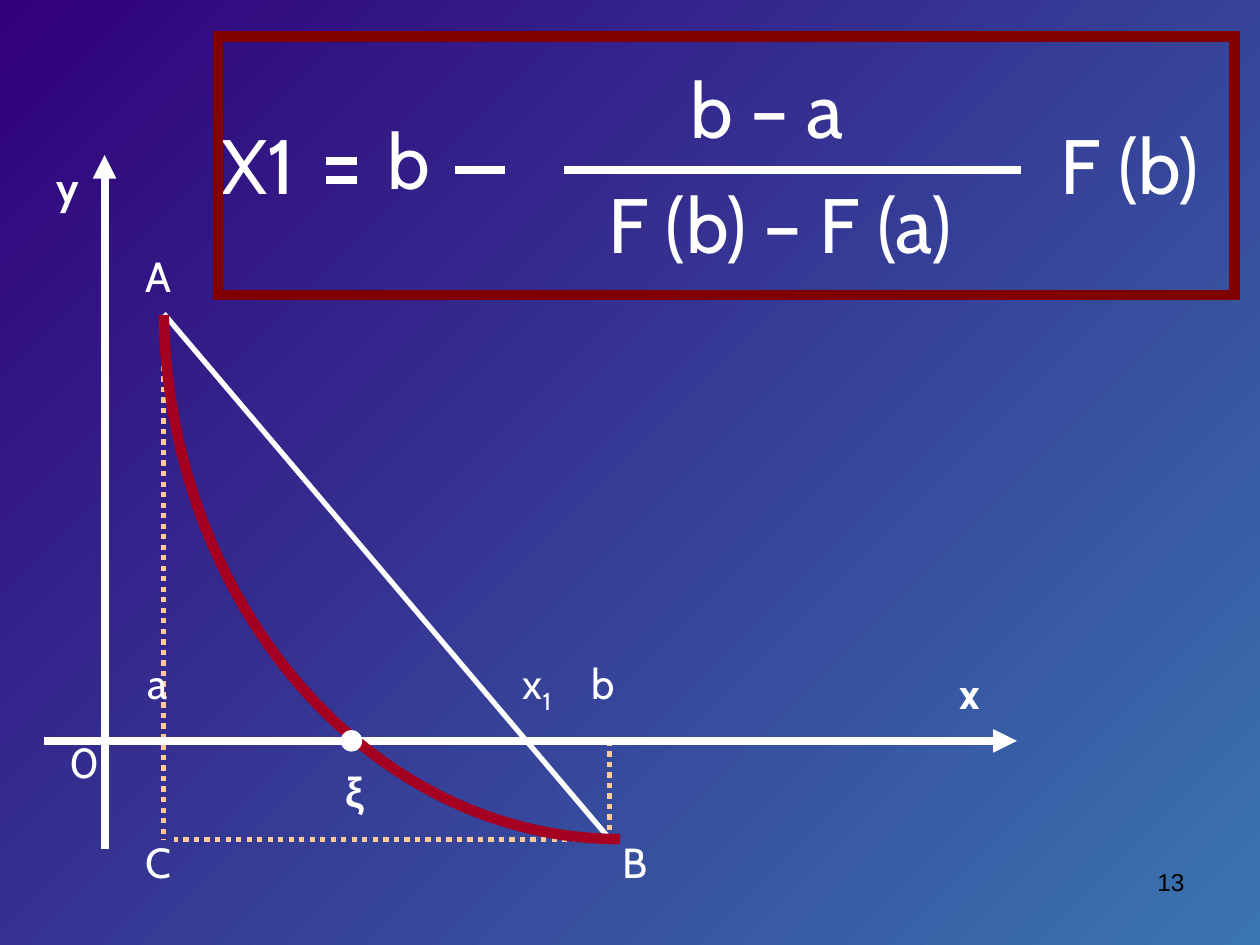
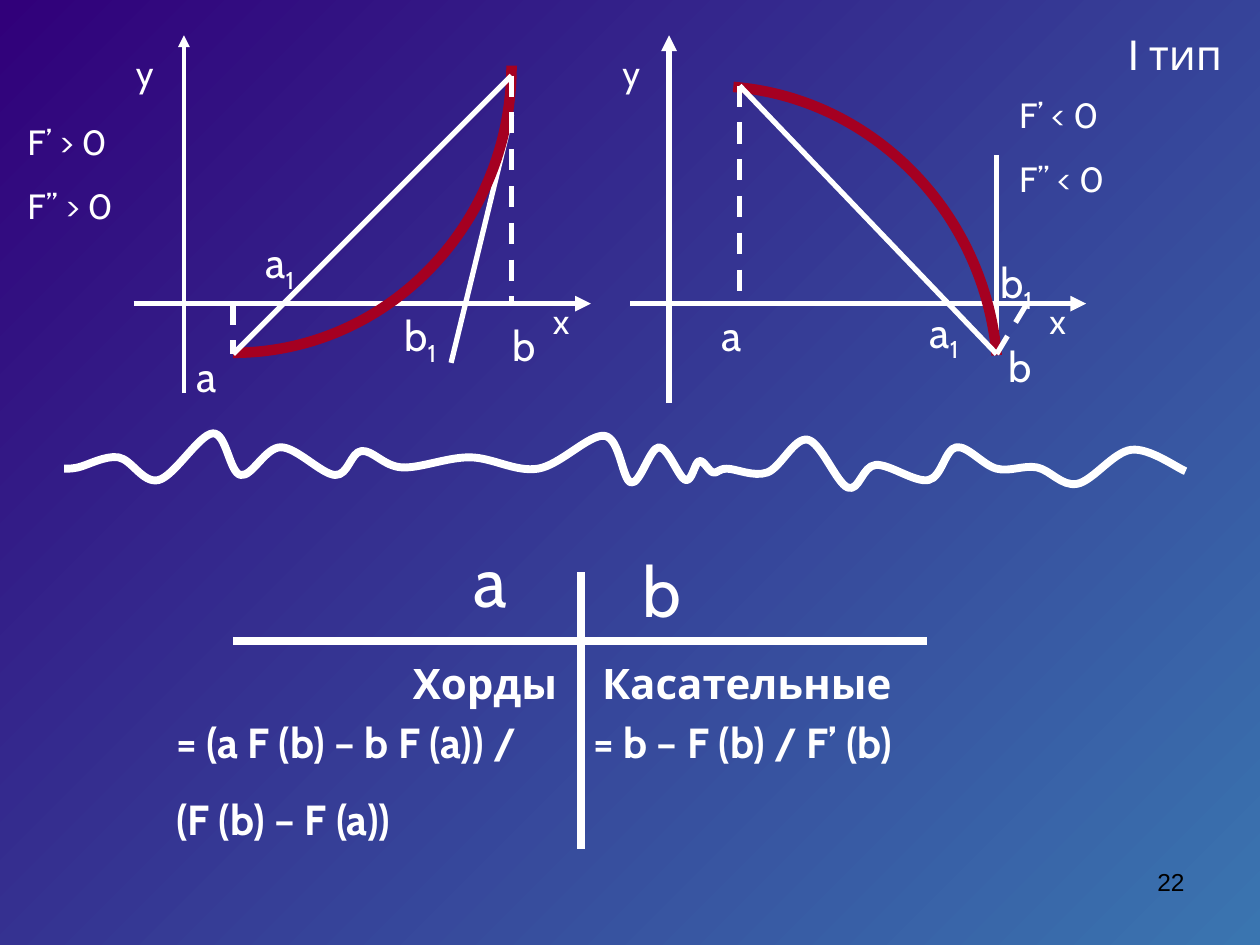
from dataclasses import dataclass, field

from lxml import etree
from pptx import Presentation
from pptx.dml.color import RGBColor
from pptx.enum.dml import MSO_LINE
from pptx.enum.shapes import MSO_CONNECTOR, MSO_SHAPE
from pptx.enum.text import PP_ALIGN
from pptx.oxml.ns import qn
from pptx.util import Inches, Pt

STRAIGHT = MSO_CONNECTOR.STRAIGHT
OVAL, RECTANGLE = MSO_SHAPE.OVAL, MSO_SHAPE.RECTANGLE
LEFT, RIGHT = PP_ALIGN.LEFT, PP_ALIGN.RIGHT
DOTTED, DASHED = MSO_LINE.ROUND_DOT, MSO_LINE.DASH


@dataclass
class TextStyle:
    size: int
    bold: bool = False
    font: str = "Cabin"
    colour: str = "FFFFFF"
    align: int = LEFT
    wrap: bool = True


@dataclass
class LineStyle:
    width: float
    colour: str = "FFFFFF"
    dash: int = None
    arrow: bool = False


class Theme:
    background = ("31007A", "3A75B0")
    white = "FFFFFF"
    text = {
        "small": TextStyle(20),
        "point": TextStyle(24),
        "bold": TextStyle(24, bold=True),
        "bold right": TextStyle(24, bold=True, align=RIGHT),
        "greek": TextStyle(24, bold=True, font="Arial"),
        "head": TextStyle(40),
        "formula": TextStyle(44, wrap=False),
        "number": TextStyle(14, font="Arial", colour="000000", align=RIGHT),
    }
    line = {
        "axis": LineStyle(4.5, arrow=True),
        "medium axis": LineStyle(3, arrow=True),
        "thin axis": LineStyle(2.25, arrow=True),
        "heavy": LineStyle(4.5),
        "chord": LineStyle(3),
        "dotted": LineStyle(3, "FFCC99", DOTTED),
        "dashed": LineStyle(3, dash=DASHED),
        "curve": LineStyle(6, "A50021"),
        "frame": LineStyle(6, "800000"),
        "dot": LineStyle(0.75),
    }


@dataclass
class Figure:
    """Lines are (x1, y1, x2, y2, style); labels are (text, x, y, width, style)."""
    under: list = field(default_factory=list)
    curve: tuple = ()
    over: list = field(default_factory=list)
    labels: list = field(default_factory=list)
    grouped: bool = True


# Slide 1: chord method
CHORD_GRAPH = Figure(
    grouped=False,
    under=[
        (4.92, 6.66, 1.38, 6.66, "dotted"),
        (1.3, 2.49, 4.84, 6.66, "chord"),
        (1.3, 2.57, 1.3, 6.66, "dotted"),
        (4.84, 5.88, 4.84, 6.66, "dotted"),
        (0.35, 5.88, 8.07, 5.88, "axis"),
    ],
    curve=((4.92, 6.66), (2.95, 6.66), (1.34, 4.81), (1.3, 2.5)),
    over=[(0.83, 6.74, 0.83, 1.23, "axis")],
    labels=[
        ("y", 0.35, 1.23, 0.63, "bold"),
        ("x", 7.52, 5.25, 0.63, "bold"),
        ("0", 0.45, 5.8, 0.39, "point"),
        ("a", 1.07, 5.17, 0.38, "point"),
        ("b", 4.6, 5.17, 0.4, "point"),
        ("x_1", 4.05, 5.17, 0.47, "point"),
        ("ξ", 2.64, 6.03, 0.55, "greek"),
        ("A", 1.06, 1.94, 0.47, "point"),
        ("C", 1.06, 6.59, 0.47, "point"),
        ("B", 4.84, 6.59, 0.47, "point"),
    ],
)
ROOT = (2.71, 5.8, 0.16, 0.16)
CHORD_FORMULA = Figure(
    under=[
        (2.59, 1.43, 2.83, 1.43, "heavy"),
        (2.59, 1.28, 2.83, 1.28, "heavy"),
        (3.61, 1.35, 4.01, 1.35, "heavy"),
        (4.48, 1.35, 8.1, 1.35, "heavy"),
    ],
    labels=[
        ("X1", 1.66, 0.88, 0.91, "formula"),
        ("b", 2.98, 0.84, 0.57, "formula"),
        ("b – a", 5.38, 0.44, 1.54, "formula"),
        ("F (b) – F (a)", 4.73, 1.35, 3.23, "formula"),
        ("F (b)", 8.32, 0.88, 1.42, "formula"),
    ],
)
FORMULA_FRAME = (1.73, 0.29, 8.07, 2.05)

# Slide 2: first type of curves
RISING = Figure(
    under=[
        (4.06, 0.91, 3.58, 2.88, "chord"),
        (1.06, 2.41, 4.69, 2.41, "medium axis"),
        (1.46, 3.12, 1.46, 0.28, "thin axis"),
    ],
    curve=((1.85, 2.8), (3.07, 2.8), (4.06, 1.78), (4.06, 0.52)),
    over=[
        (1.85, 2.41, 1.85, 2.81, "dashed"),
        (4.06, 0.6, 4.06, 2.41, "dashed"),
        (4.06, 0.6, 1.85, 2.81, "chord"),
    ],
    labels=[
        ("y", 0.98, 0.36, 0.32, "small"),
        ("x", 4.29, 2.33, 0.32, "small"),
        ("F’ > 0\nF’’ > 0", 0.12, 0.91, 1.1, "small"),
        ("a", 1.46, 2.73, 0.47, "point"),
        ("b", 3.97, 2.49, 0.47, "point"),
        ("b_1", 3.11, 2.41, 0.47, "point"),
        ("a_1", 2.01, 1.83, 0.47, "point"),
    ],
)
FALLING = Figure(
    under=[
        (7.91, 2.81, 7.91, 1.23, "chord"),
        (5.31, 3.2, 5.31, 0.28, "medium axis"),
        (5, 2.41, 8.62, 2.41, "medium axis"),
    ],
    curve=((5.82, 0.69), (6.92, 0.78), (7.81, 1.68), (7.91, 2.82)),
    over=[
        (5.87, 0.68, 5.87, 2.41, "dashed"),
        (7.91, 2.81, 8.15, 2.41, "dashed"),
        (5.87, 0.68, 7.91, 2.81, "chord"),
    ],
    labels=[
        ("F’ < 0\nF’’ < 0", 7.99, 0.69, 1.1, "small"),
        ("y", 4.84, 0.36, 0.31, "small"),
        ("x", 8.23, 2.33, 0.31, "small"),
        ("a", 5.63, 2.41, 0.47, "point"),
        ("a_1", 7.28, 2.38, 0.47, "point"),
        ("b_1", 7.84, 1.99, 0.47, "point"),
        ("b", 7.91, 2.65, 0.47, "point"),
    ],
)
WAVE = [
    (9.41, 3.74), (8.98, 3.57), (8.55, 3.84), (8.23, 3.71), (7.91, 3.72),
    (7.59, 3.55), (7.37, 3.81), (6.95, 3.69), (6.73, 3.87), (6.41, 3.49),
    (6.09, 3.75), (5.77, 3.72), (5.66, 3.75), (5.55, 3.66), (5.44, 3.81),
    (5.23, 3.55), (5.01, 3.83), (4.8, 3.46), (4.27, 3.72), (3.73, 3.63),
    (3.19, 3.71), (2.87, 3.58), (2.66, 3.77), (2.23, 3.55), (1.91, 3.77),
    (1.69, 3.44), (1.26, 3.81), (0.94, 3.63), (0.62, 3.71), (0.51, 3.72),
]
CROSS = (4.61, 5.09)
CROSS_ENDS = [(4.61, 4.54), (4.61, 6.74), (7.36, 5.09), (1.85, 5.09)]
METHODS = Figure(
    grouped=False,
    under=[(*CROSS, *end, "heavy") for end in CROSS_ENDS],
    labels=[
        ("I тип", 8.86, 0.18, 0.95, "point"),
        ("a", 3.66, 4.22, 0.79, "head"),
        ("b", 5, 4.3, 0.79, "head"),
        ("Хорды", 2.16, 5.17, 2.36, "bold right"),
        ("Касательные", 4.68, 5.17, 2.52, "bold"),
        ("= (a F (b) – b F (a)) /\n(F (b) – F (a))", 1.3, 5.64, 3.55, "bold"),
        ("= b – F (b) / F’ (b)", 4.61, 5.64, 3.55, "bold"),
    ],
)


def inches(*lengths):
    return [Inches(length) for length in lengths]


def rgb(colour):
    return RGBColor.from_string(colour)


def style_line(line, name):
    style = Theme.line[name]
    line.color.rgb = rgb(style.colour)
    line.width = Pt(style.width)
    if style.dash:
        line.dash_style = style.dash


def draw_line(shapes, x1, y1, x2, y2, name):
    connector = shapes.add_connector(STRAIGHT, *inches(x1, y1, x2, y2))
    style_line(connector.line, name)
    properties = connector._element.spPr
    if Theme.line[name].arrow:
        etree.SubElement(properties.find(qn("a:ln")), qn("a:tailEnd"), type="triangle")
    etree.SubElement(properties, qn("a:effectLst"))


def smooth(knots):
    """Cubic points of the Catmull-Rom curve through all knots."""
    padded = [knots[0], *knots, knots[-1]]
    points = [knots[0]]
    for before, start, end, after in zip(padded, padded[1:], padded[2:], padded[3:]):
        points += [
            [s + (e - b) / 6 for b, s, e in zip(before, start, end)],
            [e - (a - s) / 6 for s, e, a in zip(start, end, after)],
            end,
        ]
    return points


def draw_curve(shapes, points, name):
    """Draw cubic segments; points are a start, then two controls and an end each."""
    first, *rest = [inches(*point) for point in points]
    builder = shapes.build_freeform(*first)
    builder.add_line_segments(rest, close=False)
    curve = builder.convert_to_shape()
    corners = list(curve._element.iter(qn("a:lnTo")))
    for triple in zip(corners[::3], corners[1::3], corners[2::3]):
        cubic = etree.Element(qn("a:cubicBezTo"))
        triple[0].addprevious(cubic)
        for corner in triple:
            cubic.append(corner[0])
            corner.getparent().remove(corner)
    curve.fill.background()
    curve.shadow.inherit = False
    style_line(curve.line, name)


def draw_preset(shapes, kind, box, line_name, fill=None):
    shape = shapes.add_shape(kind, *inches(*box))
    shape.shadow.inherit = False
    style_line(shape.line, line_name)
    etree.SubElement(shape._element.spPr.find(qn("a:ln")), qn("a:miter"), lim="800000")
    if fill:
        shape.fill.solid()
        shape.fill.fore_color.rgb = rgb(fill)
    else:
        shape.fill.background()


def write_label(shapes, text, x, y, width, name):
    """Write one paragraph per line; what follows "_" is a subscript."""
    style = Theme.text[name]
    lines = text.split("\n")
    em = style.size / 72
    height = 0.1 + em * (1.21 * len(lines) + 0.625 * (len(lines) - 1))
    frame = shapes.add_textbox(*inches(x, y, width, height)).text_frame
    frame.word_wrap = style.wrap
    for index, line in enumerate(lines):
        paragraph = frame.add_paragraph() if index else frame.paragraphs[0]
        paragraph.alignment = style.align
        paragraph.space_before = Pt(style.size * 0.625)
        font = paragraph.font
        font.size, font.bold, font.name = Pt(style.size), style.bold, style.font
        font.color.rgb = rgb(style.colour)
        base, _, subscript = line.partition("_")
        paragraph.add_run().text = base
        if subscript:
            run = paragraph.add_run()
            run.text = subscript
            run._r.get_or_add_rPr().set("baseline", "-25000")


def draw_figure(slide, figure):
    shapes = slide.shapes.add_group_shape().shapes if figure.grouped else slide.shapes
    for line in figure.under:
        draw_line(shapes, *line)
    if figure.curve:
        draw_curve(shapes, figure.curve, "curve")
    for line in figure.over:
        draw_line(shapes, *line)
    for label in figure.labels:
        write_label(shapes, *label)


def main():
    prs = Presentation()
    prs.slide_width, prs.slide_height = inches(10, 7.5)
    backdrop = prs.slide_master.background.fill
    backdrop.gradient()
    backdrop.gradient_angle = 315
    for stop, colour in zip(backdrop.gradient_stops, Theme.background):
        stop.color.rgb = rgb(colour)
    blank = prs.slide_layouts[6]

    chord = prs.slides.add_slide(blank)
    draw_figure(chord, CHORD_GRAPH)
    draw_preset(chord.shapes, OVAL, ROOT, "dot", Theme.white)
    draw_figure(chord, CHORD_FORMULA)
    draw_preset(chord.shapes, RECTANGLE, FORMULA_FRAME, "frame")

    first_type = prs.slides.add_slide(blank)
    draw_curve(first_type.shapes, smooth(WAVE), "heavy")
    for figure in (METHODS, RISING, FALLING):
        draw_figure(first_type, figure)

    for slide, number in ((chord, "13"), (first_type, "22")):
        write_label(slide.shapes, number, 7.17, 6.83, 2.33, "number")
    prs.save("out.pptx")


if __name__ == "__main__":
    main()
